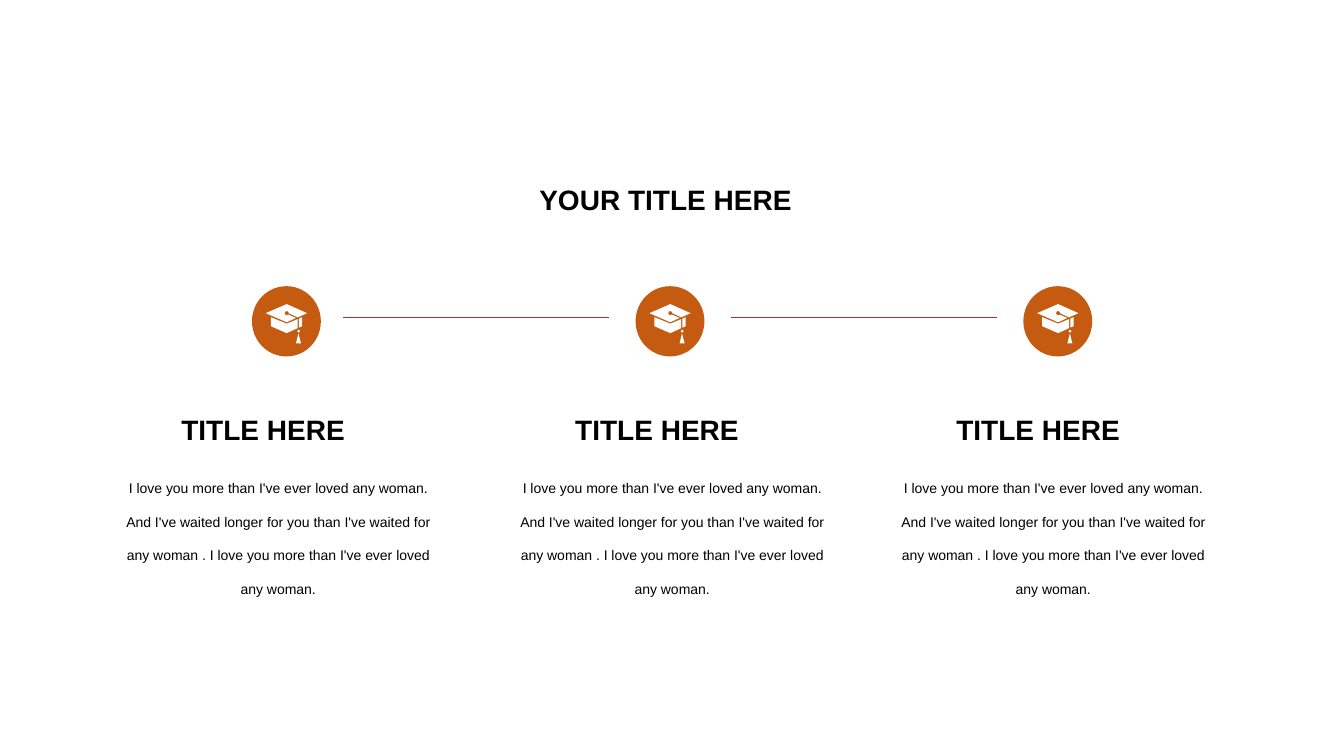
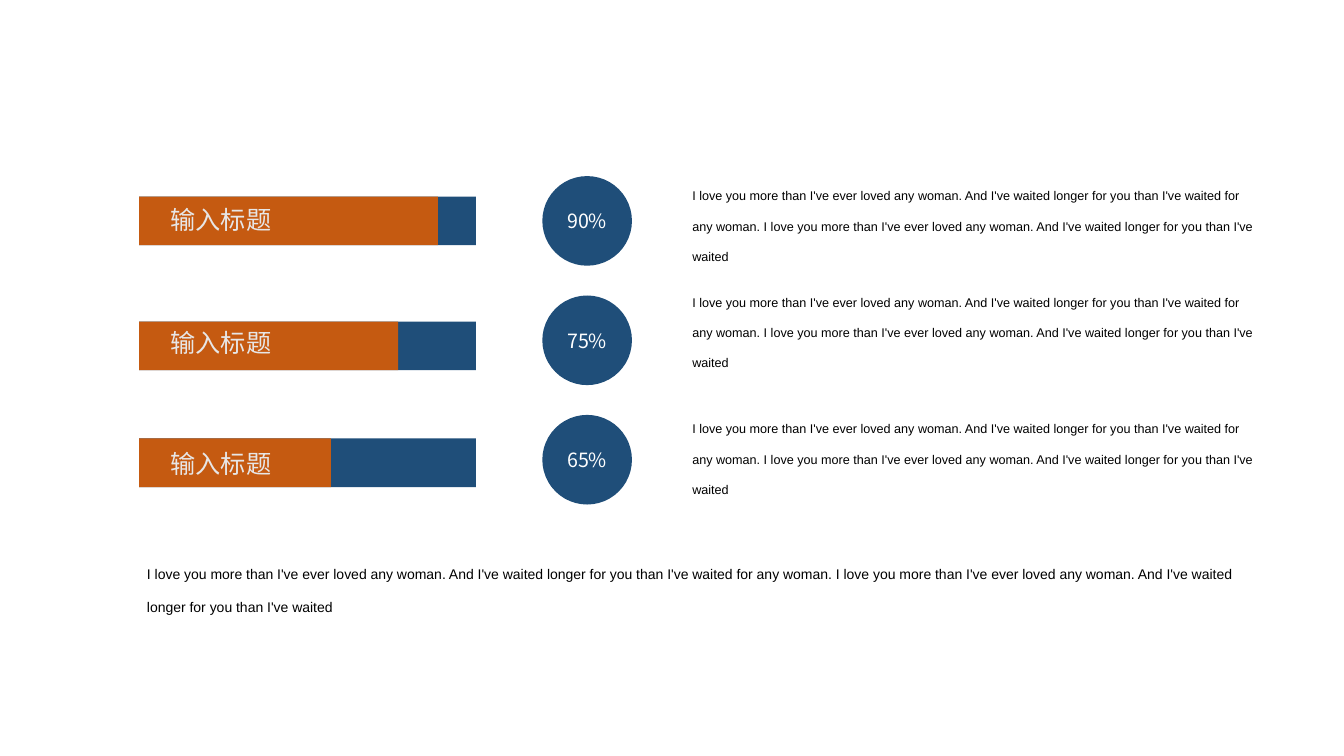
from math import cos, radians, sin

from lxml import etree
from pptx import Presentation
from pptx.dml.color import RGBColor
from pptx.enum.shapes import MSO_CONNECTOR, MSO_SHAPE
from pptx.enum.text import MSO_ANCHOR, MSO_AUTO_SIZE, PP_ALIGN
from pptx.oxml.ns import qn
from pptx.util import Pt

ORANGE = RGBColor(0xC5, 0x5A, 0x11)
BLUE = RGBColor(0x1F, 0x4E, 0x79)
RED = RGBColor(0xD2, 0x22, 0x26)
PALE = RGBColor(0xE7, 0xE6, 0xE6)
WHITE = RGBColor(0xFF, 0xFF, 0xFF)
BLACK = RGBColor(0, 0, 0)
LATIN, HAN = "Arial", "Noto Sans CJK SC"

LOVE = "I love you more than I've ever loved any woman."
WAIT = "And I've waited longer for you than I've waited"
BODY = f"{LOVE} {WAIT} for any woman . {LOVE}"
NOTE = f"{LOVE} {WAIT} for any woman. {LOVE} {WAIT}"

HEAD = dict(size=20, bold=True, align=PP_ALIGN.JUSTIFY, space=1.5)

# Disc left and text left of each column
COLS = [(180, 75.6), (454, 357), (731, 629.2)]
# Share, bar top, filled width, label top, note top
ROWS = [
    ("90%", 140.4, 213.4, 142.6, 120.2),
    ("75%", 229.7, 185, 230.4, 196),
    ("65%", 313.2, 137, 316.8, 286.6),
]


def arc(x, y, r, start, end, step=15):
    """Points on a circle, clockwise or not, angles in degrees."""
    turn = step if end > start else -step
    return [(x + r * cos(radians(a)), y + r * sin(radians(a)))
            for a in range(start, end + turn, turn)]


# Outlines of the graduation cap, in tenths of a point
CAP = [
    [(234, 209), (252, 281), (216, 281)],
    arc(235, 194, 9, 0, 345),
    [(260, 94), (260, 158), (237, 168), (237, 104)],
    [(36, 94), (150, 140), (228, 108), (228, 172), (150, 208), (36, 158)],
    [(150, 0), (295, 65), (228, 95), *arc(150, 65, 14, 0, -315),
     (216, 99), (150, 130), (0, 65)],
]


def write(frame, text, *, size, font=LATIN, color=BLACK, bold=False,
          align=PP_ALIGN.LEFT, space=1.0, anchor=MSO_ANCHOR.TOP):
    frame.word_wrap = True
    frame.auto_size = MSO_AUTO_SIZE.NONE
    frame.vertical_anchor = anchor
    para = frame.paragraphs[0]
    para.alignment = align
    para.line_spacing = space
    run = para.add_run()
    run.text = text
    run.font.size = Pt(size)
    run.font.bold = bold
    run.font.color.rgb = color
    run.font.name = font
    props = run._r.get_or_add_rPr()
    etree.SubElement(props, qn("a:ea")).set("typeface", font)


def place(shape, *box):
    shape.left, shape.top, shape.width, shape.height = map(Pt, box)


def label(slide, text, *box, **style):
    write(slide.shapes.add_textbox(*map(Pt, box)).text_frame, text, **style)


def paint(shape, color):
    shape.shadow.inherit = False
    shape.fill.solid()
    shape.fill.fore_color.rgb = color
    shape.line.fill.background()
    return shape


def block(slide, kind, color, *box):
    return paint(slide.shapes.add_shape(kind, *map(Pt, box)), color)


def rule(slide, left, right, y):
    """Draw a thin horizontal line."""
    line = slide.shapes.add_connector(
        MSO_CONNECTOR.STRAIGHT, Pt(left), Pt(y), Pt(right), Pt(y))
    line.line.color.rgb = RED
    line.line.width = Pt(0.5)
    etree.SubElement(line._element.spPr, qn("a:effectLst"))


def badge(slide, left, top):
    """Draw a disc with a graduation cap in it."""
    block(slide, MSO_SHAPE.OVAL, ORANGE, left, top, 49.2, 50.2)
    first, *rest = CAP
    pen = slide.shapes.build_freeform(*first[0], scale=Pt(0.1))
    pen.add_line_segments(first[1:], close=True)
    for loop in rest:
        pen.move_to(*loop[0])
        pen.add_line_segments(loop[1:], close=True)
    paint(pen.convert_to_shape(Pt(left + 9.8), Pt(top + 12.8)), WHITE)


def meter(slide, index, row):
    """Draw a bar with its label, share and note."""
    share, top, width, text, note = row
    block(slide, MSO_SHAPE.RECTANGLE, BLUE, 99.4, top, 240.6, 34.8)
    block(slide, MSO_SHAPE.RECTANGLE, ORANGE, 99.4, top, width, 34.8)
    disc = block(slide, MSO_SHAPE.OVAL, BLUE, 387.4, 125.8 + 85.3 * index, 64, 64)
    write(disc.text_frame, share, size=14, font=HAN, color=WHITE,
          align=PP_ALIGN.CENTER, anchor=MSO_ANCHOR.MIDDLE)
    label(slide, "输入标题", 114.7, text, 147.6, 32.4,
          size=18, font=HAN, color=PALE)
    label(slide, NOTE, 487.4, note, 418.3, 69.1, size=9, space=2.0)


def steps(deck):
    slide = deck.slides.add_slide(deck.slide_layouts[5])
    title = slide.shapes.title
    place(title, 378, 114.5, 204.5, 39.6)
    write(title.text_frame, "YOUR TITLE HERE", **HEAD)
    for left, text in COLS:
        badge(slide, left, 204.4)
        label(slide, "TITLE HERE", text + 46.8, 279.4, 152.6, 39.6, **HEAD)
        label(slide, BODY, text, 326.9, 246.2, 100.8,
              size=10, align=PP_ALIGN.CENTER, space=2.0)
    for left, _ in COLS[1:]:
        rule(slide, left - 209, left - 19, 226.8)


def shares(deck):
    slide = deck.slides.add_slide(deck.slide_layouts[6])
    for index, row in enumerate(ROWS):
        meter(slide, index, row)
    label(slide, NOTE, 97.9, 388.1, 799.2, 51.8, size=10, space=2.0)


def main():
    deck = Presentation()
    deck.slide_width, deck.slide_height = Pt(960), Pt(540)
    steps(deck)
    shares(deck)
    deck.save("out.pptx")


if __name__ == "__main__":
    main()
